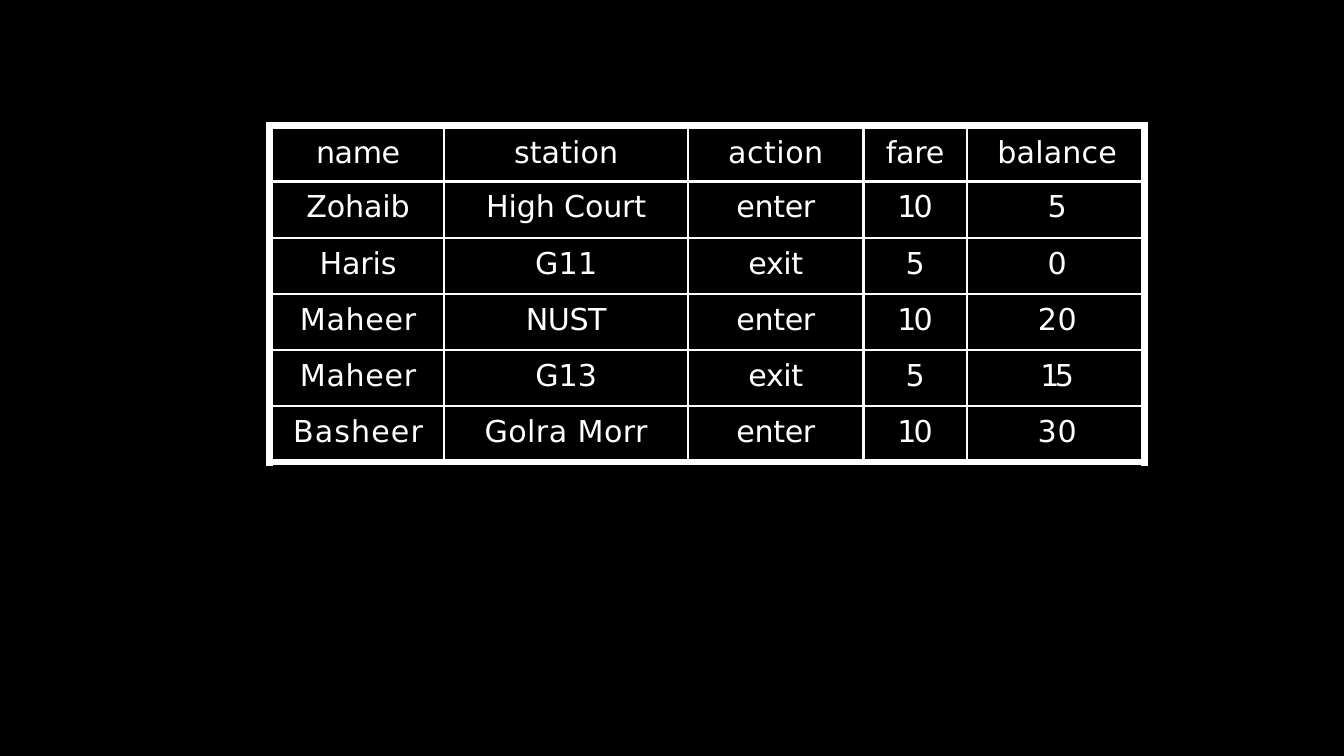
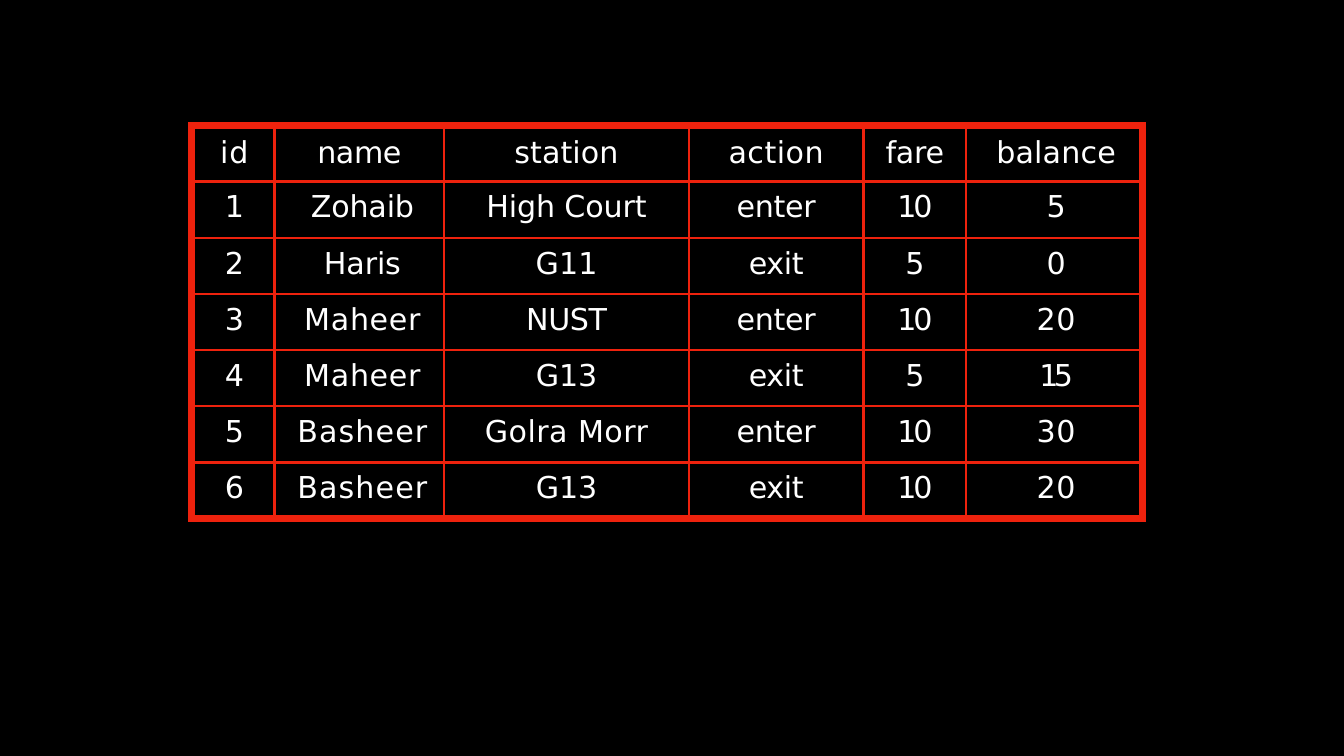
from lxml.etree import SubElement
from pptx import Presentation
from pptx.dml.color import RGBColor
from pptx.enum.shapes import MSO_CONNECTOR as Connector
from pptx.enum.text import PP_ALIGN as Align
from pptx.oxml.ns import qn
from pptx.util import Pt

BLACK, WHITE, RED = "000000", "FFFFFF", "EE220D"
FONT, TEXT_SIZE = "DejaVu Sans", 35.5
TOP, BAR_HEIGHT, EDGE_ROW, MIDDLE_ROW = 144, 7.9, 61.9, 66.2
GRID_WIDTH, FRAME_WIDTH = 3, 8.25

# Letter spacing in points, for each word that departs from zero
SPACING = {
    "id": 1, "name": -0.5, "station": 0.1, "action": 0.6, "fare": -0.3,
    "balance": 0.2, "Zohaib": -0.2, "High Court": -0.2, "Haris": -0.2,
    "Maheer": 0.8, "Basheer": 1.3, "G11": 0.2, "NUST": -0.5, "G13": -0.1,
    "Golra Morr": 0.5, "enter": -0.4, "exit": -0.5, "10": -3.5,
    "15": -5.4, "20": 0.7, "30": 0.9,
}

HEADINGS = ["name", "station", "action", "fare", "balance"]
TRIPS = [
    ["Zohaib", "High Court", "enter", "10", "5"],
    ["Haris", "G11", "exit", "5", "0"],
    ["Maheer", "NUST", "enter", "10", "20"],
    ["Maheer", "G13", "exit", "5", "15"],
    ["Basheer", "Golra Morr", "enter", "10", "30"],
    ["Basheer", "G13", "exit", "10", "20"],
]


def color(hex_string):
    return RGBColor.from_string(hex_string)


class TripDeck:
    def __init__(self):
        self.deck = Presentation()
        self.deck.slide_width = Pt(1583.3)
        self.deck.slide_height = Pt(890.6)
        background = self.deck.slide_master.background.fill
        background.solid()
        background.fore_color.rgb = color(BLACK)
        self.page = None

    def add_page(self):
        self.page = self.deck.slides.add_slide(self.deck.slide_layouts[6])

    def style_cell(self, cell, fill, line, sides):
        """Draw the grid line on the given sides only, then fill the cell."""
        properties = cell._tc.get_or_add_tcPr()
        for side in "LRTB":
            border = SubElement(properties, qn(f"a:ln{side}"))
            if side in sides:
                border.set("w", str(Pt(GRID_WIDTH)))
                solid = SubElement(border, qn("a:solidFill"))
                SubElement(solid, qn("a:srgbClr")).set("val", line)
            else:
                SubElement(border, qn("a:noFill"))
        cell.fill.solid()
        cell.fill.fore_color.rgb = color(fill)
        cell.margin_left = cell.margin_right = cell.margin_bottom = 0
        cell.margin_top = 0

    def write_cell(self, cell, text, inset, indent):
        cell.margin_top, cell.margin_left = Pt(inset), Pt(indent)
        para = cell.text_frame.paragraphs[0]
        para.text = text
        para.alignment = Align.CENTER
        span = para.runs[0]
        span.font.name, span.font.size = FONT, Pt(TEXT_SIZE)
        span.font.color.rgb = color(WHITE)
        spacing = round(SPACING.get(text, 0) * 100)
        span._r.get_or_add_rPr().set("spc", str(spacing))

    def add_side(self, x, height, line):
        side = self.page.shapes.add_connector(
            Connector.STRAIGHT, Pt(x), Pt(TOP), Pt(x), Pt(TOP + height))
        side.line.color.rgb = color(line)
        side.line.width = Pt(FRAME_WIDTH)
        SubElement(side._element.spPr, qn("a:effectLst"))

    def add_table(self, left, widths, rows, line):
        """Place a grid between a coloured bar row above and one below."""
        heights = [BAR_HEIGHT, EDGE_ROW, *[MIDDLE_ROW] * (len(rows) - 2),
                   EDGE_ROW, BAR_HEIGHT]
        width, height = sum(widths), sum(heights)
        table = self.page.shapes.add_table(
            len(heights), len(widths), Pt(left), Pt(TOP),
            Pt(width), Pt(height)).table
        for column, points in zip(table.columns, widths):
            column.width = Pt(points)
        for row, points in zip(table.rows, heights):
            row.height = Pt(points)

        # Bars: tiny text size keeps the empty rows thin
        for bar in (0, len(heights) - 1):
            for cell in table.rows[bar].cells:
                self.style_cell(cell, line, line, "")
                para = cell.text_frame.paragraphs[0]
                para._p.get_or_add_endParaRPr().set("sz", "100")

        # Grid: lines only between neighbouring cells
        last_row, last_column = len(rows) - 1, len(widths) - 1
        for r, values in enumerate(rows):
            inset = 7.9 if r == 0 else 9.2 if "Basheer" in values else 10
            for c, text in enumerate(values):
                cell = table.cell(r + 1, c)
                sides = ("L" * (c > 0) + "R" * (c < last_column)
                         + "T" * (r > 0) + "B" * (r < last_row))
                self.style_cell(cell, BLACK, line, sides)
                is_name = r > 0 and rows[0][c] == "name"
                indent = 7.2 if c == 0 or is_name else 0
                self.write_cell(cell, text, inset, indent)

        # Frame sides
        for x in (left + FRAME_WIDTH / 2, left + width - FRAME_WIDTH / 2):
            self.add_side(x, height, line)


def main():
    trips = TripDeck()

    # Trips without a key
    trips.add_page()
    trips.add_table(313.2, [210.2, 287.3, 206.6, 121.7, 213.1],
                    [HEADINGS, *TRIPS[:5]], WHITE)

    # Trips numbered by id
    trips.add_page()
    numbered = [[str(number), *trip] for number, trip in enumerate(TRIPS, 1)]
    trips.add_table(221.8, [101.5, 200.2, 288, 205.9, 121, 211.7],
                    [["id", *HEADINGS], *numbered], RED)

    trips.deck.save("out.pptx")


if __name__ == "__main__":
    main()
